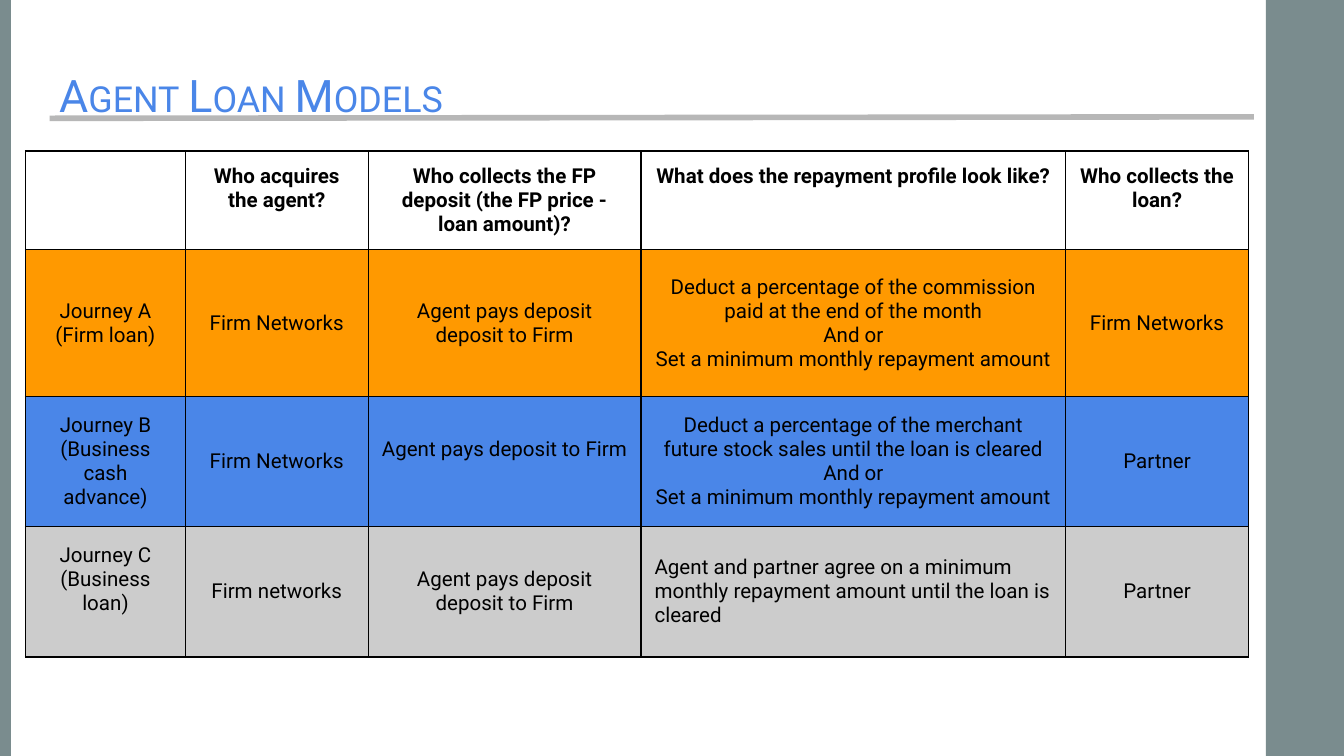
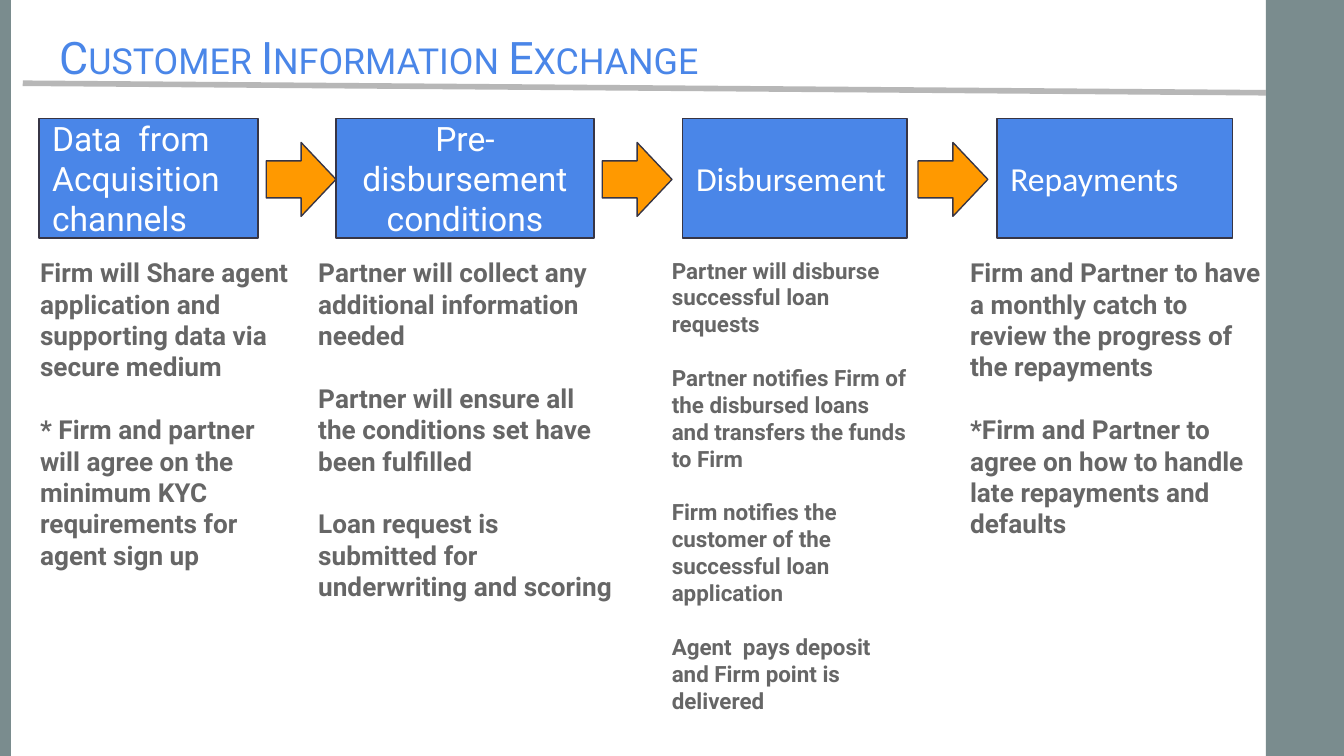
from lxml import etree
from pptx import Presentation
from pptx.dml.color import RGBColor
from pptx.enum.shapes import MSO_CONNECTOR, MSO_SHAPE
from pptx.enum.text import MSO_ANCHOR, MSO_AUTO_SIZE, PP_ALIGN
from pptx.oxml.ns import qn
from pptx.util import Pt

RECT, ARROW = MSO_SHAPE.RECTANGLE, MSO_SHAPE.RIGHT_ARROW
STRAIGHT = MSO_CONNECTOR.STRAIGHT
TOP, MIDDLE = MSO_ANCHOR.TOP, MSO_ANCHOR.MIDDLE
LEFT, CENTER = PP_ALIGN.LEFT, PP_ALIGN.CENTER
NO_FIT = MSO_AUTO_SIZE.NONE

WIDTH, HEIGHT = 720, 405
INSET = 7.2
WHITE, BLACK, BLUE, ORANGE = "FFFFFF", "000000", "4A86E8", "FF9900"
SILVER, RULE, SLATE, INK, BODY = "CCCCCC", "B7B7B7", "7A8C8E", "373545", "666666"

COLUMNS = [85.7, 97.9, 146.2, 227.5, 97.9]
ROWS = [46.8, 78.5, 69.8, 69.8]
ROW_FILLS = [WHITE, ORANGE, BLUE, SILVER]
MINIMUM = "And or\nSet a minimum monthly repayment amount"
LOAN_MODELS = [
    ["", "Who acquires the agent?",
     "Who collects the FP deposit (the FP price - loan amount)?",
     "What does the repayment profile look like?", "Who collects the loan?"],
    ["Journey A\n(Firm loan)", "Firm Networks", "Agent pays deposit deposit to Firm",
     "Deduct a percentage of the commission paid at the end of the month\n" + MINIMUM,
     "Firm Networks"],
    ["Journey B\n(Business cash advance)", "Firm Networks", "Agent pays deposit to Firm",
     "Deduct a percentage of the merchant future stock sales until the loan is cleared\n"
     + MINIMUM, "Partner"],
    ["Journey C\n(Business loan)", "Firm networks", "Agent pays deposit deposit to Firm",
     "Agent and partner agree on a minimum monthly repayment amount until the loan is cleared",
     "Partner"],
]
RAISED_CELLS = {(2, 2), (3, 0)}
LEFT_CELLS = {(3, 3)}

STAGES = [
    ("Data  from Acquisition channels", 20.9, 117.4, "Roboto", LEFT),
    ("Pre-disbursement conditions", 180, 138.2, "Roboto", CENTER),
    ("Disbursement", 365.8, 120.2, "Calibri", LEFT),
    ("Repayments", 534.2, 126, "Calibri", LEFT),
]
ARROW_LEFTS = [142.6, 322.6, 491.8]
NOTES = [
    (14.4, 149, 225.4, 14,
     "Firm will Share agent application and supporting data via secure medium\n"
     "* Firm and partner will agree on the minimum KYC requirements for agent sign up"),
    (163.4, 172.1, 190.1, 14,
     "Partner will collect any additional information needed\n"
     "Partner will ensure all the conditions set have been fulfilled\n"
     "Loan request is submitted for underwriting and scoring"),
    (352.8, 142.6, 274.3, 12,
     "Partner will disburse successful loan requests\n"
     "Partner notifies Firm of the disbursed loans and transfers the funds to Firm\n"
     "Firm notifies the customer of the successful loan application\n"
     "Agent  pays deposit and Firm point is delivered"),
    (512.6, 172.1, 263.5, 14,
     "Firm and Partner to have a monthly catch to review the progress of the repayments\n"
     "*Firm and Partner to agree on how to handle late repayments and defaults"),
]


def rgb(hex_code):
    """Turn a hex string into a colour."""
    return RGBColor.from_string(hex_code)


def points(*values):
    """Turn numbers into lengths in points."""
    return [Pt(v) for v in values]


def write(tf, text, size=11, font="Roboto", color=BLACK, bold=False,
          align=LEFT, gap=0, small_caps=False):
    """Fill a text frame with one paragraph per line of text."""
    for i, line in enumerate(text.split("\n")):
        p = tf.add_paragraph() if i else tf.paragraphs[0]
        p.alignment = align
        p.space_before = Pt(gap if i else 0)
        r = p.add_run()
        r.text = line
        r.font.size, r.font.name, r.font.bold = Pt(size), font, bold
        r.font.color.rgb = rgb(color)
        if small_caps:
            r.font._element.set("cap", "small")


def frame(sp, anchor=TOP):
    """Set wrapping, insets and anchor of a shape and return its text frame."""
    tf = sp.text_frame
    tf.word_wrap, tf.auto_size, tf.vertical_anchor = True, NO_FIT, anchor
    tf.margin_left = tf.margin_right = tf.margin_top = tf.margin_bottom = Pt(INSET)
    return tf


def add_block(slide, kind, box, fill, line=None):
    """Add a flat preset shape."""
    sp = slide.shapes.add_shape(kind, *points(*box))
    sp.shadow.inherit = False
    sp.fill.solid()
    sp.fill.fore_color.rgb = rgb(fill)
    if line:
        sp.line.color.rgb = rgb(line)
        sp.line.width = Pt(0.75)
    else:
        sp.line.fill.background()
    return sp


def add_rule(slide, *ends):
    """Add the grey line under a title."""
    line = slide.shapes.add_connector(STRAIGHT, *points(*ends))
    line.line.color.rgb = rgb(RULE)
    line.line.width = Pt(3)
    etree.SubElement(line._element.spPr, qn("a:effectLst"))


def add_slide(prs, title, box, rule):
    """Add a slide with side bands, title and rule."""
    slide = prs.slides.add_slide(prs.slide_layouts[5])
    add_block(slide, RECT, (678.2, 0, WIDTH - 678.2, HEIGHT), SLATE)
    add_block(slide, RECT, (0, 0, 5.8, HEIGHT), SLATE)
    sp = slide.shapes.title
    sp.left, sp.top, sp.width, sp.height = points(*box)
    write(frame(sp), title, size=24, color=BLUE, small_caps=True)
    add_rule(slide, *rule)
    return slide


def border(cell):
    """Draw thin black borders around a cell."""
    tc_pr = cell._tc.get_or_add_tcPr()
    for side in ("lnL", "lnR", "lnT", "lnB"):
        ln = etree.SubElement(tc_pr, qn("a:" + side), w=str(Pt(0.75)))
        fill = etree.SubElement(ln, qn("a:solidFill"))
        etree.SubElement(fill, qn("a:srgbClr"), val=BLACK)


def add_loan_table(slide):
    """Add the table that compares the loan journeys."""
    box = points(13.7, 80.9, sum(COLUMNS), sum(ROWS))
    table = slide.shapes.add_table(len(ROWS), len(COLUMNS), *box).table
    table.first_row = table.horz_banding = False
    for column, width in zip(table.columns, COLUMNS):
        column.width = Pt(width)
    for i, (row, height) in enumerate(zip(table.rows, ROWS)):
        row.height = Pt(height)
        for j, cell in enumerate(row.cells):
            border(cell)
            cell.fill.solid()
            cell.fill.fore_color.rgb = rgb(ROW_FILLS[i])
            cell.vertical_anchor = MIDDLE if i else TOP
            cell.margin_left = cell.margin_right = cell.margin_top = Pt(INSET)
            cell.margin_bottom = Pt(20 if (i, j) in RAISED_CELLS else INSET)
            if LOAN_MODELS[i][j]:
                write(cell.text_frame, LOAN_MODELS[i][j], bold=i == 0,
                      align=LEFT if (i, j) in LEFT_CELLS else CENTER)


def add_stage(slide, text, left, width, font, align):
    """Add one blue stage box."""
    sp = add_block(slide, RECT, (left, 63.4, width, 64.1), BLUE, INK)
    write(frame(sp, MIDDLE), text, size=18, font=font, color=WHITE, align=align)


def add_note(slide, left, width, height, size, text):
    """Add the bold notes under a stage."""
    sp = slide.shapes.add_textbox(*points(left, 130.3, width, height))
    write(frame(sp), text, size=size, color=BODY, bold=True, gap=round(size * 1.2, 1))


def main():
    """Build and save the presentation."""
    prs = Presentation()
    prs.slide_width, prs.slide_height = points(WIDTH, HEIGHT)

    slide = add_slide(prs, "Agent Loan Models", (24.5, 28.8, 647.3, 32.4),
                      (26.6, 63.4, 671.8, 62.6))
    add_loan_table(slide)

    slide = add_slide(prs, "Customer Information Exchange", (24.5, 8.6, 671, 31.7),
                      (12.2, 44.6, 678.2, 49.7))
    for note in NOTES:
        add_note(slide, *note)
    for stage in STAGES:
        add_stage(slide, *stage)
    for left in ARROW_LEFTS:
        add_block(slide, ARROW, (left, 76.3, 37.4, 39.6), ORANGE, INK)

    prs.save("out.pptx")


if __name__ == "__main__":
    main()
